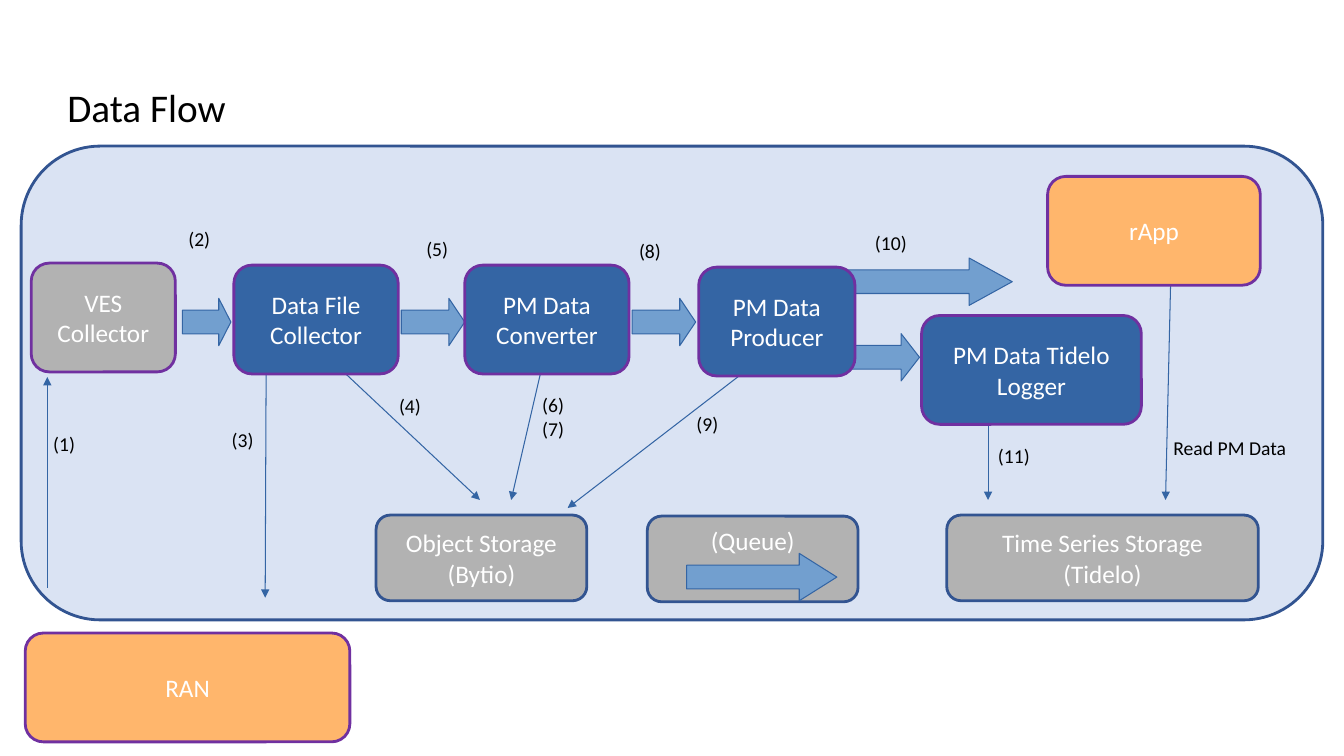
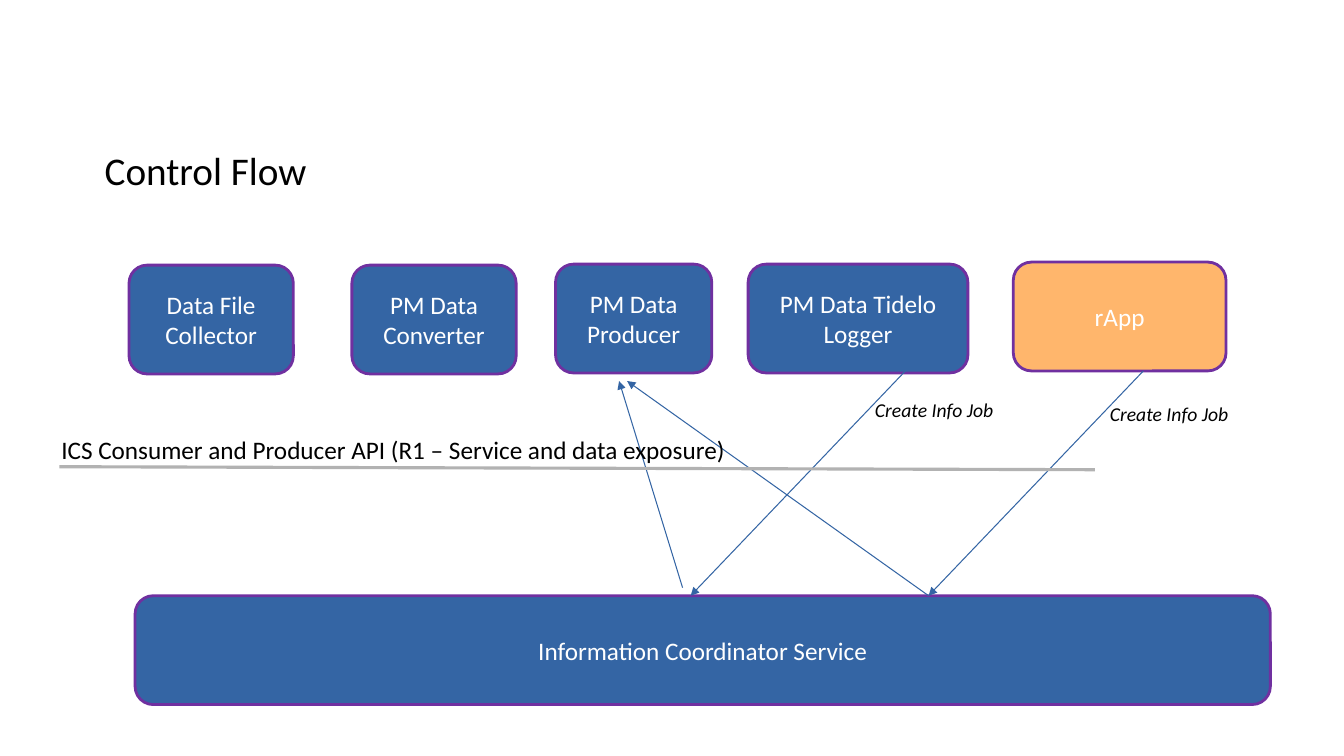
from dataclasses import dataclass

from lxml.etree import SubElement
from pptx import Presentation
from pptx.dml.color import RGBColor
from pptx.enum.shapes import MSO_CONNECTOR, MSO_SHAPE
from pptx.enum.text import MSO_ANCHOR, PP_ALIGN
from pptx.oxml.ns import qn
from pptx.shapes.autoshape import Shape
from pptx.shapes.connector import Connector
from pptx.slide import Slide
from pptx.util import Inches, Pt

FONT = "Calibri"
COLORS = {
    "blue": "3465A4",
    "light_blue": "729FCF",
    "navy": "325491",
    "panel": "DAE3F3",
    "purple": "7030A0",
    "orange": "FFB66C",
    "gray": "B2B2B2",
    "white": "FFFFFF",
    "black": "000000",
}
SERVICE_H = 1.08
STORE_H = 0.85
BLOCK_ARROW_H = 0.47


@dataclass
class Box:
    """A rounded box with centred text."""
    text: str
    x: float
    y: float
    w: float
    h: float = SERVICE_H
    fill: str = "blue"
    line: str = "purple"
    anchor: MSO_ANCHOR = MSO_ANCHOR.MIDDLE


@dataclass
class Label:
    """A free text on the slide."""
    text: str
    x: float
    y: float
    w: float = 1.5
    h: float = 0.33
    size: int = 14
    italic: bool = False


@dataclass
class Arrow:
    """A thin arrow from (x1, y1) to (x2, y2)."""
    x1: float
    y1: float
    x2: float
    y2: float


@dataclass
class BlockArrow:
    """A thick arrow that points right."""
    x: float
    y: float
    w: float


def rgb(name: str) -> RGBColor:
    """Look up a colour by name."""
    return RGBColor.from_string(COLORS[name])


def write(sp: Shape, text: str, size: int, color: str,
          align: PP_ALIGN = PP_ALIGN.LEFT, anchor: MSO_ANCHOR = MSO_ANCHOR.TOP,
          italic: bool = False) -> None:
    """Put formatted, wrapped text into a shape."""
    tf = sp.text_frame
    tf.word_wrap = True
    tf.vertical_anchor = anchor
    tf.text = text
    for p in tf.paragraphs:
        p.alignment = align
        for r in p.runs:
            r.font.name = FONT
            r.font.size = Pt(size)
            r.font.italic = italic
            r.font.color.rgb = rgb(color)


def add_preset(slide: Slide, kind: MSO_SHAPE, x: float, y: float, w: float,
               h: float, fill: str, line: str, width: float) -> Shape:
    """Draw a filled and outlined preset shape."""
    sp = slide.shapes.add_shape(kind, Inches(x), Inches(y), Inches(w), Inches(h))
    sp.shadow.inherit = False
    sp.fill.solid()
    sp.fill.fore_color.rgb = rgb(fill)
    sp.line.color.rgb = rgb(line)
    sp.line.width = Pt(width)
    return sp


def add_box(slide: Slide, box: Box) -> None:
    """Draw a rounded box."""
    sp = add_preset(slide, MSO_SHAPE.ROUNDED_RECTANGLE, box.x, box.y, box.w, box.h,
                    box.fill, box.line, 2)
    write(sp, box.text, 18, "white", PP_ALIGN.CENTER, box.anchor)


def add_block_arrow(slide: Slide, arrow: BlockArrow) -> None:
    """Draw a thick arrow whose head takes a quarter of its length."""
    sp = add_preset(slide, MSO_SHAPE.RIGHT_ARROW, arrow.x, arrow.y, arrow.w,
                    BLOCK_ARROW_H, "light_blue", "blue", 0.75)
    sp.adjustments[1] = arrow.w / 4 / BLOCK_ARROW_H


def add_line(slide: Slide, line: Arrow, color: str, width: float) -> Connector:
    """Draw a straight line without a shadow."""
    sp = slide.shapes.add_connector(MSO_CONNECTOR.STRAIGHT, Inches(line.x1),
                                    Inches(line.y1), Inches(line.x2), Inches(line.y2))
    sp.line.color.rgb = rgb(color)
    sp.line.width = Pt(width)
    SubElement(sp._element.spPr, qn("a:effectLst"))
    return sp


def add_arrow(slide: Slide, arrow: Arrow) -> None:
    """Draw a thin arrow."""
    sp = add_line(slide, arrow, "blue", 0.75)
    ln = sp._element.spPr.find(qn("a:ln"))
    SubElement(ln, qn("a:tailEnd"), type="triangle")


def add_label(slide: Slide, label: Label) -> None:
    """Draw a text box."""
    sp = slide.shapes.add_textbox(Inches(label.x), Inches(label.y),
                                  Inches(label.w), Inches(label.h))
    write(sp, label.text, label.size, "black", italic=label.italic)


def add_title(slide: Slide, text: str, x: float, y: float, h: float) -> None:
    """Draw the slide title."""
    sp = slide.shapes.add_textbox(Inches(x), Inches(y), Inches(11.5), Inches(h))
    write(sp, text, 28, "black", anchor=MSO_ANCHOR.MIDDLE)
    sp.text_frame.paragraphs[0].line_spacing = 0.9


def pipeline(places: list[tuple[float, float]]) -> list[Box]:
    """Place the services and the app that both slides show."""
    services = [
        ("Data File Collector", 1.63, "blue"),
        ("PM Data Converter", 1.63, "blue"),
        ("PM Data Producer", 1.55, "blue"),
        ("PM Data Tidelo Logger", 2.18, "blue"),
        ("rApp", 2.11, "orange"),
    ]
    return [Box(text, x, y, w, fill=fill)
            for (text, w, fill), (x, y) in zip(services, places)]


def build_data_flow(slide: Slide) -> None:
    """Build the data flow slide."""
    add_preset(slide, MSO_SHAPE.ROUNDED_RECTANGLE, 0.21, 1.45, 12.91, 4.7,
               "panel", "navy", 2)
    add_title(slide, "Data Flow", 0.57, 0.4, 1.38)

    for block_arrow in (
        BlockArrow(1.81, 2.96, 0.48),
        BlockArrow(3.98, 2.96, 0.63),
        BlockArrow(6.27, 2.96, 0.63),
        BlockArrow(8.39, 3.31, 0.73),
        BlockArrow(8.33, 2.56, 1.71),
    ):
        add_block_arrow(slide, block_arrow)

    for arrow in (
        Arrow(0.47, 5.83, 0.47, 3.74),
        Arrow(2.64, 3.62, 2.63, 5.93),
        Arrow(3.43, 3.71, 4.76, 4.96),
        Arrow(5.38, 3.62, 5.07, 4.96),
        Arrow(7.33, 3.73, 5.63, 5.04),
        Arrow(9.8, 3.87, 9.8, 4.96),
        Arrow(11.61, 2.83, 11.56, 4.96),
    ):
        add_arrow(slide, arrow)

    services = pipeline([(2.32, 2.63), (4.61, 2.63), (6.93, 2.65),
                         (9.14, 3.13), (10.39, 1.75)])
    others = [
        Box("VES Collector", 0.31, 2.61, 1.43, fill="gray"),
        Box("RAN", 0.25, 6.28, 3.22, fill="orange"),
        Box("Object Storage\v(Bytio)", 3.73, 5.11, 2.09, STORE_H, "gray", "navy"),
        Box("(Queue)", 6.42, 5.12, 2.09, STORE_H, "gray", "navy", MSO_ANCHOR.TOP),
        Box("Time Series Storage\v(Tidelo)", 9.39, 5.11, 3.09, STORE_H, "gray", "navy"),
    ]
    for box in services + others:
        add_box(slide, box)
    add_block_arrow(slide, BlockArrow(6.81, 5.49, 1.49))

    for label in (
        Label("(1)", 0.43, 4.24),
        Label("(2)", 1.77, 2.2),
        Label("(3)", 2.2, 4.2),
        Label("(4)", 3.86, 3.86),
        Label("(5)", 4.13, 2.3),
        Label("(6)\n(7)", 5.28, 3.85, h=0.56),
        Label("(8)", 6.24, 2.32),
        Label("(9)", 6.81, 4.04),
        Label("(10)", 8.58, 2.24),
        Label("(11)", 9.8, 4.36),
        Label("Read PM Data", 11.54, 4.28),
    ):
        add_label(slide, label)


def build_control_flow(slide: Slide) -> None:
    """Build the control flow slide."""
    add_title(slide, "Control Flow", 0.94, 1.26, 0.91)

    services = pipeline([(1.28, 2.63), (3.49, 2.63), (5.51, 2.62),
                         (7.42, 2.62), (10.05, 2.6)])
    coordinator = Box("Information Coordinator Service", 1.34, 5.91, 11.26)
    for box in services + [coordinator]:
        add_box(slide, box)

    for arrow in (
        Arrow(9.21, 5.91, 6.22, 3.78),
        Arrow(8.98, 3.68, 6.85, 5.91),
        Arrow(6.77, 5.83, 6.14, 3.78),
        Arrow(11.34, 3.68, 9.21, 5.91),
    ):
        add_arrow(slide, arrow)
    add_line(slide, Arrow(0.59, 4.63, 10.86, 4.66), "gray", 2.24)

    api = "ICS Consumer and Producer API (R1 – Service and data exposure)"
    for label in (
        Label(api, 0.51, 4.26, 8.86, 0.4, 18),
        Label("Create Info Job", 8.58, 3.9, italic=True),
        Label("Create Info Job", 10.91, 3.94, italic=True),
    ):
        add_label(slide, label)


def main() -> None:
    """Build and save the presentation."""
    prs = Presentation()
    prs.slide_width, prs.slide_height = Inches(13.33), Inches(7.5)
    for build in (build_data_flow, build_control_flow):
        build(prs.slides.add_slide(prs.slide_layouts[6]))
    prs.save("out.pptx")


main()
